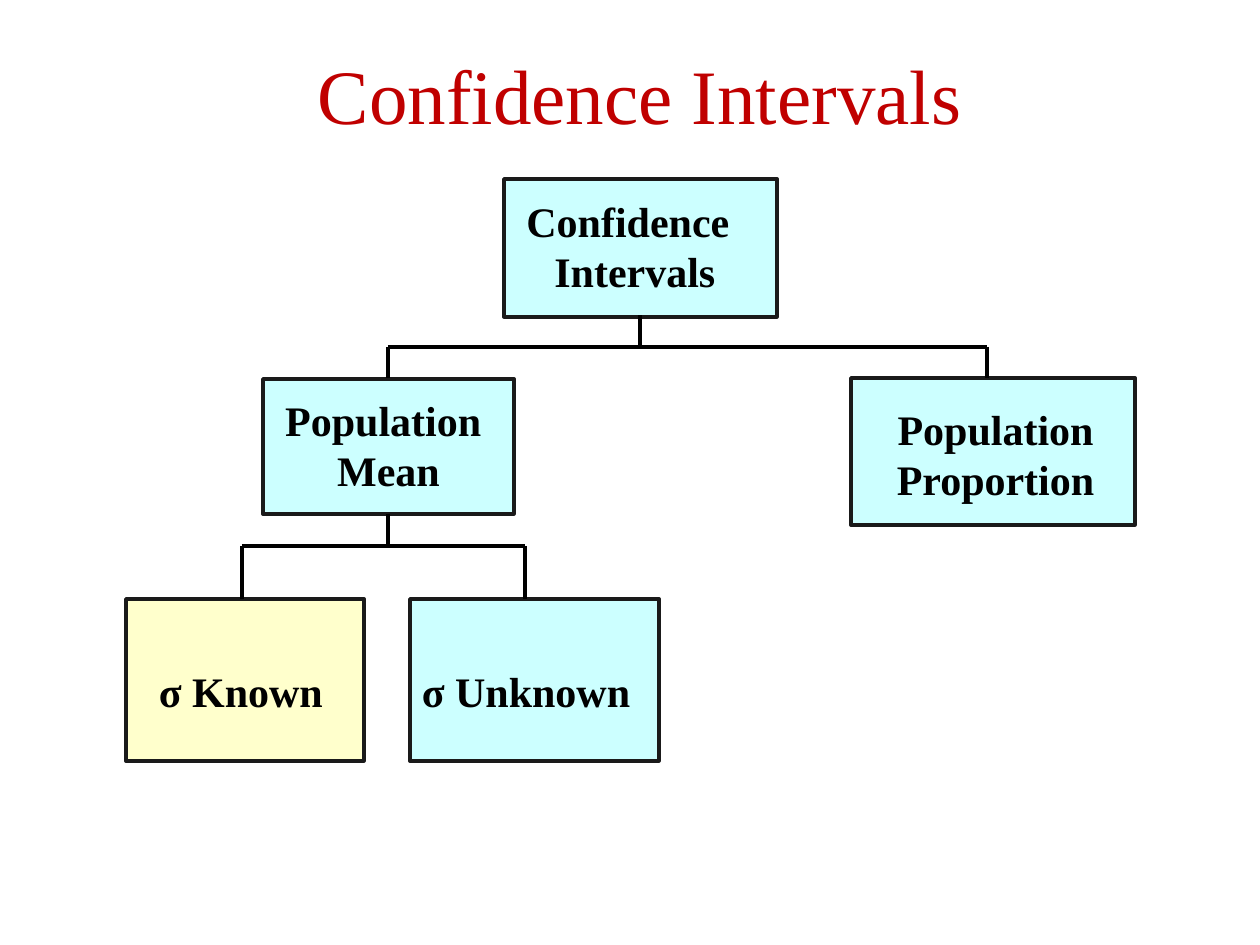
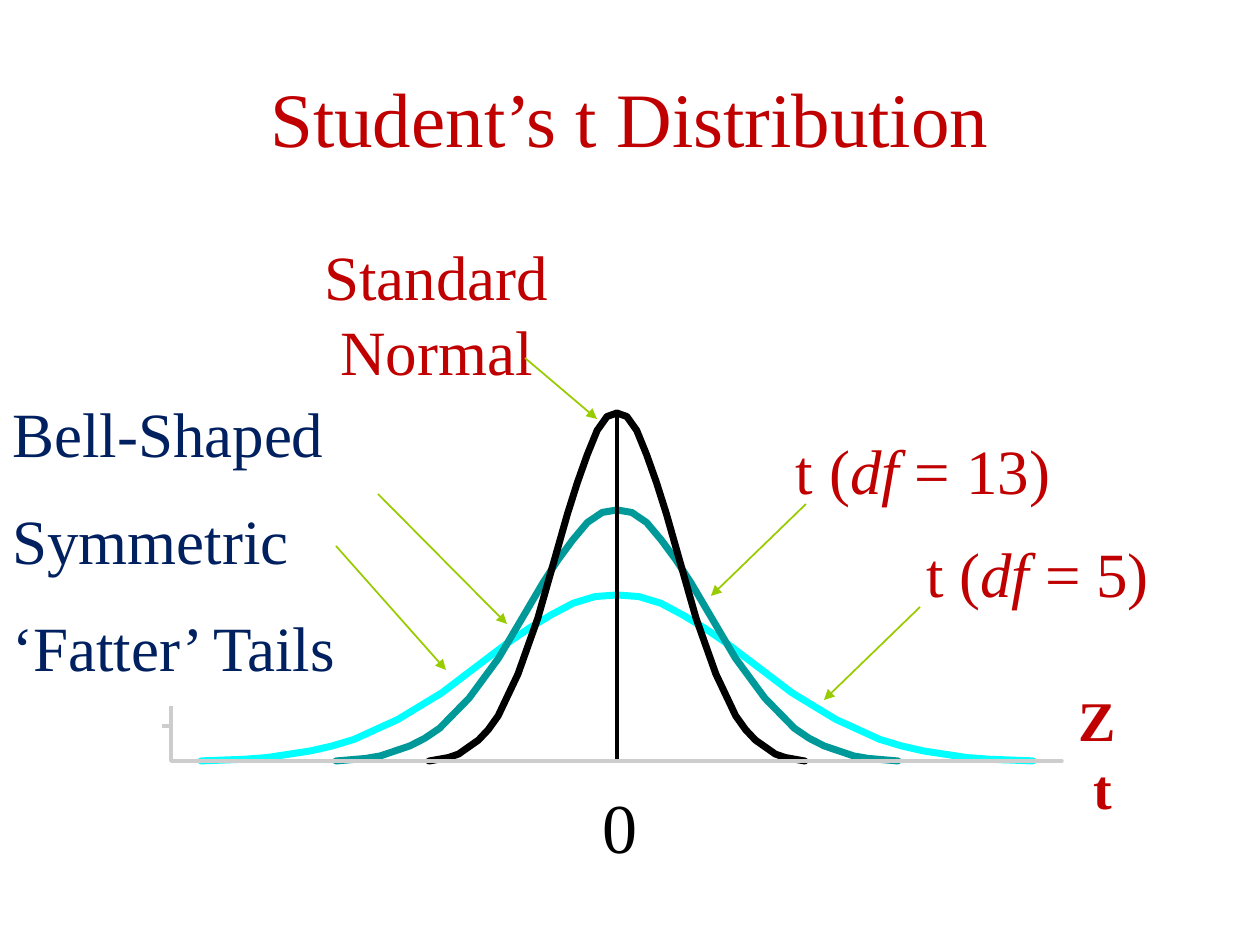
from lxml import etree
from pptx import Presentation
from pptx.dml.color import RGBColor
from pptx.enum.shapes import MSO_CONNECTOR, MSO_SHAPE
from pptx.enum.text import MSO_ANCHOR, PP_ALIGN
from pptx.oxml.ns import qn
from pptx.util import Emu, Pt

LEFT, CENTER = PP_ALIGN.LEFT, PP_ALIGN.CENTER
TOP, MIDDLE = MSO_ANCHOR.TOP, MSO_ANCHOR.MIDDLE
RECTANGLE, STRAIGHT = MSO_SHAPE.RECTANGLE, MSO_CONNECTOR.STRAIGHT

FONT = "Times New Roman"
RED = RGBColor(0xC0, 0x00, 0x00)
NAVY = RGBColor(0x00, 0x20, 0x60)
BLACK = RGBColor(0x00, 0x00, 0x00)
WHITE = RGBColor(0xFF, 0xFF, 0xFF)
PALE_CYAN = RGBColor(0xCC, 0xFF, 0xFF)
PALE_YELLOW = RGBColor(0xFF, 0xFF, 0xCC)
BORDER = RGBColor(0x1A, 0x1A, 0x1A)
CYAN = RGBColor(0x00, 0xFF, 0xFF)
TEAL = RGBColor(0x00, 0x99, 0x99)
GRAY = RGBColor(0xCD, 0xCD, 0xCD)
LIME = RGBColor(0x99, 0xCC, 0x00)

# Half of a bell: (steps from the centre out of 19, share of the peak height)
BELL_STEPS = 19
BELL = [(0, 1), (1, 0.99), (2, 0.95), (3, 0.88), (4, 0.8), (5, 0.71),
        (6, 0.61), (8, 0.41), (10, 0.25), (12, 0.13), (13, 0.09),
        (14, 0.06), (15, 0.04), (16, 0.02), (17, 0.01), (19, 0)]
MEAN_X, BASE_Y = 617, 761


def px(n):
    """Turn pixels into EMU (126 pixels to the inch)."""
    return Emu(round(n * 914400 / 126))


def write_text(tf, lines, size, color, bold=False, align=CENTER, gap=0):
    """Fill a text frame; parts between bars are italic."""
    for i, line in enumerate(lines):
        p = tf.paragraphs[0] if i == 0 else tf.add_paragraph()
        p.alignment = align
        if i and gap:
            p.space_before = Pt(gap)
        p.font.name, p.font.size, p.font.bold = FONT, Pt(size), bold
        p.font.color.rgb = color
        for j, part in enumerate(line.split("|")):
            r = p.add_run()
            r.text = part
            if j % 2:
                r.font.italic = True


def add_title_slide(prs, title, x, y):
    """Add a title-only slide with the shared title style."""
    slide = prs.slides.add_slide(prs.slide_layouts[5])
    sp = slide.shapes.title
    sp.left, sp.top, sp.width, sp.height = px(x), px(y), px(1134), px(158)
    sp.text_frame.vertical_anchor = MIDDLE
    write_text(sp.text_frame, [title], 44, RED)
    return slide


def add_label(slide, box, lines, size, color, wrap=False, **style):
    """Add a text box."""
    sp = slide.shapes.add_textbox(*map(px, box))
    sp.text_frame.word_wrap = wrap
    write_text(sp.text_frame, lines, size, color, **style)


def add_box(slide, box, fill, border=None):
    """Add a filled rectangle, with or without a border."""
    sp = slide.shapes.add_shape(RECTANGLE, *map(px, box))
    sp.shadow.inherit = False
    sp.fill.solid()
    sp.fill.fore_color.rgb = fill
    if border is None:
        sp.line.fill.background()
    else:
        sp.line.color.rgb = border
        sp.line.width = Pt(2)
    return sp


def add_line(slide, x1, y1, x2, y2, color, width, arrow=False):
    """Add a straight line, with an arrowhead at its end if asked."""
    c = slide.shapes.add_connector(STRAIGHT, px(x1), px(y1), px(x2), px(y2))
    c.line.color.rgb = color
    c.line.width = Pt(width)
    if arrow:
        ln = c.line._get_or_add_ln()
        etree.SubElement(ln, qn("a:tailEnd"), type="triangle")
    etree.SubElement(c._element.spPr, qn("a:effectLst"))


def add_path(slide, points, color, width):
    """Add an open outline through the points."""
    start, *rest = [(px(x), px(y)) for x, y in points]
    builder = slide.shapes.build_freeform(*start, scale=1.0)
    builder.add_line_segments(rest, close=False)
    sp = builder.convert_to_shape()
    sp.shadow.inherit = False
    sp.fill.background()
    sp.line.color.rgb = color
    sp.line.width = Pt(width)
    sp.line._get_or_add_ln().set("cap", "rnd")


def add_bell(slide, half_width, height, color):
    """Add a bell curve as two mirrored halves."""
    for side in (1, -1):
        points = [(MEAN_X + side * half_width * step / BELL_STEPS,
                   BASE_Y - height * share) for step, share in BELL]
        add_path(slide, points, color, 4)


def add_branch(slide, x, top, bar, bottom, children):
    """Join a parent at x to its children by a stem, a bar and drops."""
    segments = [(x, top, x, bar), (children[0], bar, children[-1], bar)]
    segments += [(child, bar, child, bottom) for child in children]
    for segment in segments:
        add_line(slide, *segment, BLACK, 2.25)


def build_tree_slide(prs):
    """Build the tree of confidence intervals."""
    slide = add_title_slide(prs, "Confidence Intervals", 73, 15)
    nodes = [
        ((263, 379, 251, 135), PALE_CYAN,
         [((262, 388, 253, 113), ["Population ", "Mean"], CENTER)]),
        ((410, 599, 249, 162), PALE_CYAN,
         [((399, 659, 266, 63), [" σ Unknown"], LEFT)]),
        ((504, 179, 273, 138), PALE_CYAN,
         [((514, 189, 253, 63), ["Confidence"], LEFT),
          ((542, 239, 198, 63), ["Intervals"], LEFT)]),
        ((851, 378, 284, 147), PALE_CYAN,
         [((867, 397, 257, 113), ["Population", "Proportion"], CENTER)]),
        ((126, 599, 238, 162), PALE_YELLOW,
         [((136, 659, 217, 63), [" σ Known"], LEFT)]),
    ]
    for box, fill, labels in nodes:
        add_box(slide, box, fill, BORDER)
        for label_box, lines, align in labels:
            add_label(slide, label_box, lines, 24, BLACK, bold=True, align=align)
    add_branch(slide, 640, 315, 347, 378, [388, 987])
    add_branch(slide, 388, 514, 546, 599, [242, 525])


def build_distribution_slide(prs):
    """Build the comparison of t curves with the standard normal."""
    slide = add_title_slide(prs, "Student’s t Distribution", 63, 38)
    add_bell(slide, 416, 166, CYAN)
    add_bell(slide, 281, 251, TEAL)
    add_line(slide, MEAN_X, 416, MEAN_X, 760, BLACK, 2)
    add_bell(slide, 188, 348, BLACK)

    add_path(slide, [(171, 402), (171, BASE_Y), (1062, BASE_Y)], GRAY, 2)
    add_line(slide, 162, 726, 170, 726, GRAY, 2)
    for x in range(261, 1063, 89):
        add_line(slide, x, 763, x, 763, GRAY, 2)

    add_label(slide, (1066, 679, 63, 81), ["Z"], 32, RED, bold=True, align=LEFT)
    add_label(slide, (1081, 747, 44, 81), ["t"], 32, RED, bold=True, align=LEFT)
    add_label(slide, (567, 777, 105, 96), ["0"], 40, BLACK)
    add_label(slide, (888, 528, 299, 88), ["t (|df| = 5)"], 36, RED)
    add_label(slide, (284, 231, 305, 165), ["Standard Normal"], 36, RED, wrap=True)
    add_label(slide, (775, 425, 296, 88), ["t (|df| = 13)"], 36, RED)

    sp = add_box(slide, (0, 388, 392, 318), WHITE)
    sp.text_frame.vertical_anchor = TOP
    write_text(sp.text_frame, ["Bell-Shaped", "Symmetric", "‘Fatter’ Tails"],
               36, NAVY, align=LEFT, gap=18)

    for arrow in [(525, 358, 597, 419), (920, 607, 824, 700),
                  (806, 504, 711, 596), (378, 494, 507, 624),
                  (336, 546, 446, 670)]:
        add_line(slide, *arrow, LIME, 1, arrow=True)


def main():
    """Build and save the presentation."""
    prs = Presentation()
    prs.slide_width, prs.slide_height = px(1260), px(945)
    build_tree_slide(prs)
    build_distribution_slide(prs)
    prs.save("out.pptx")


main()
